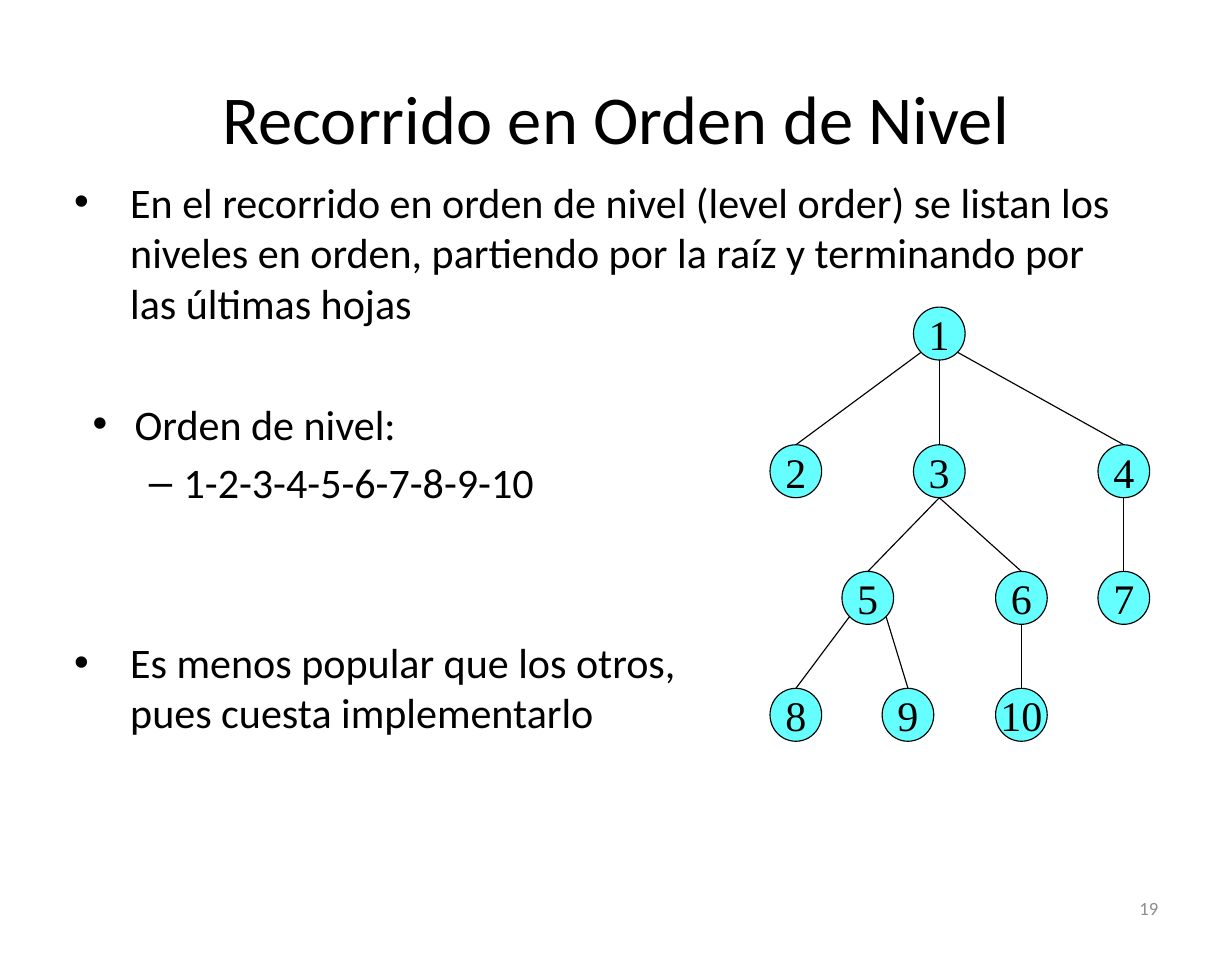
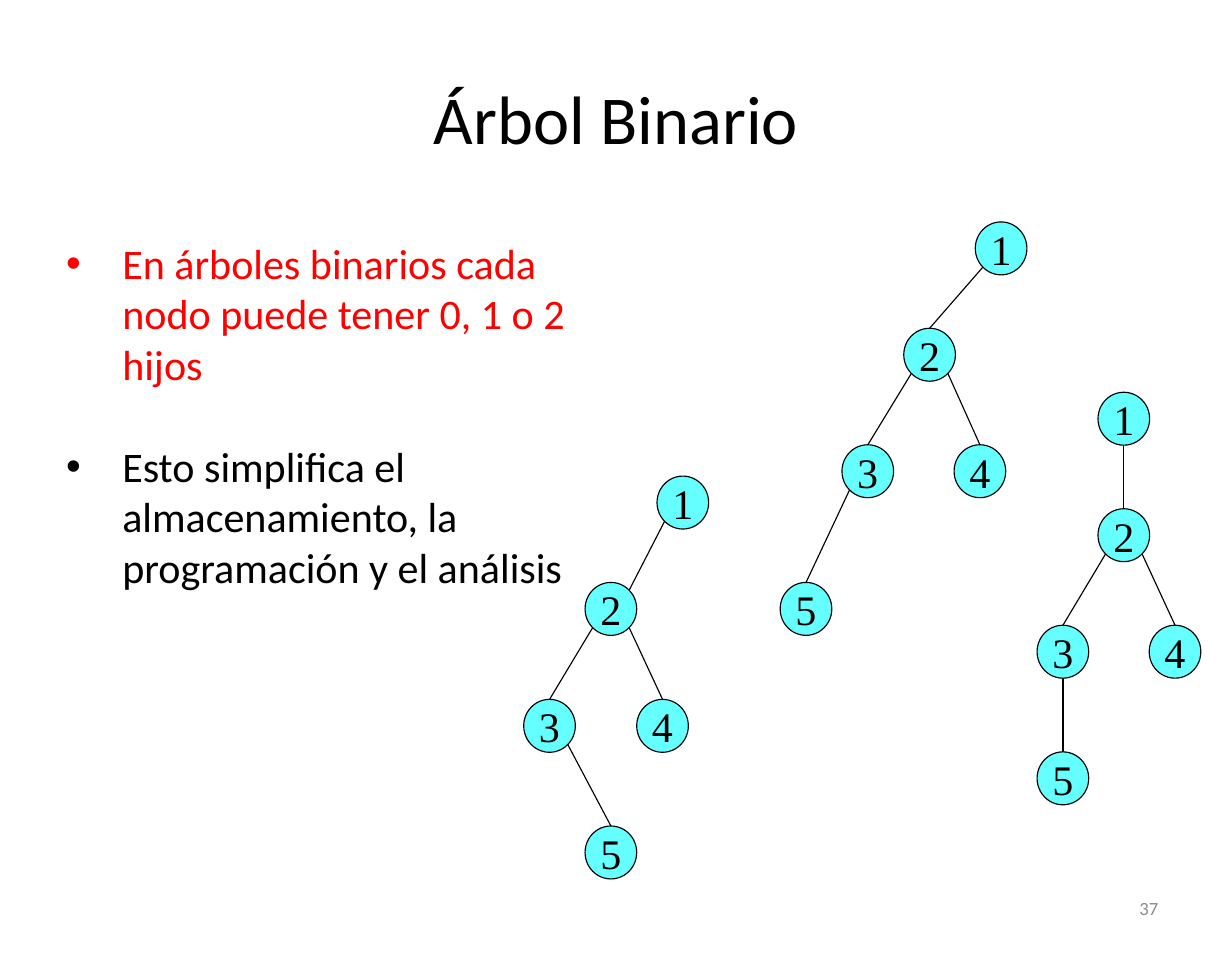
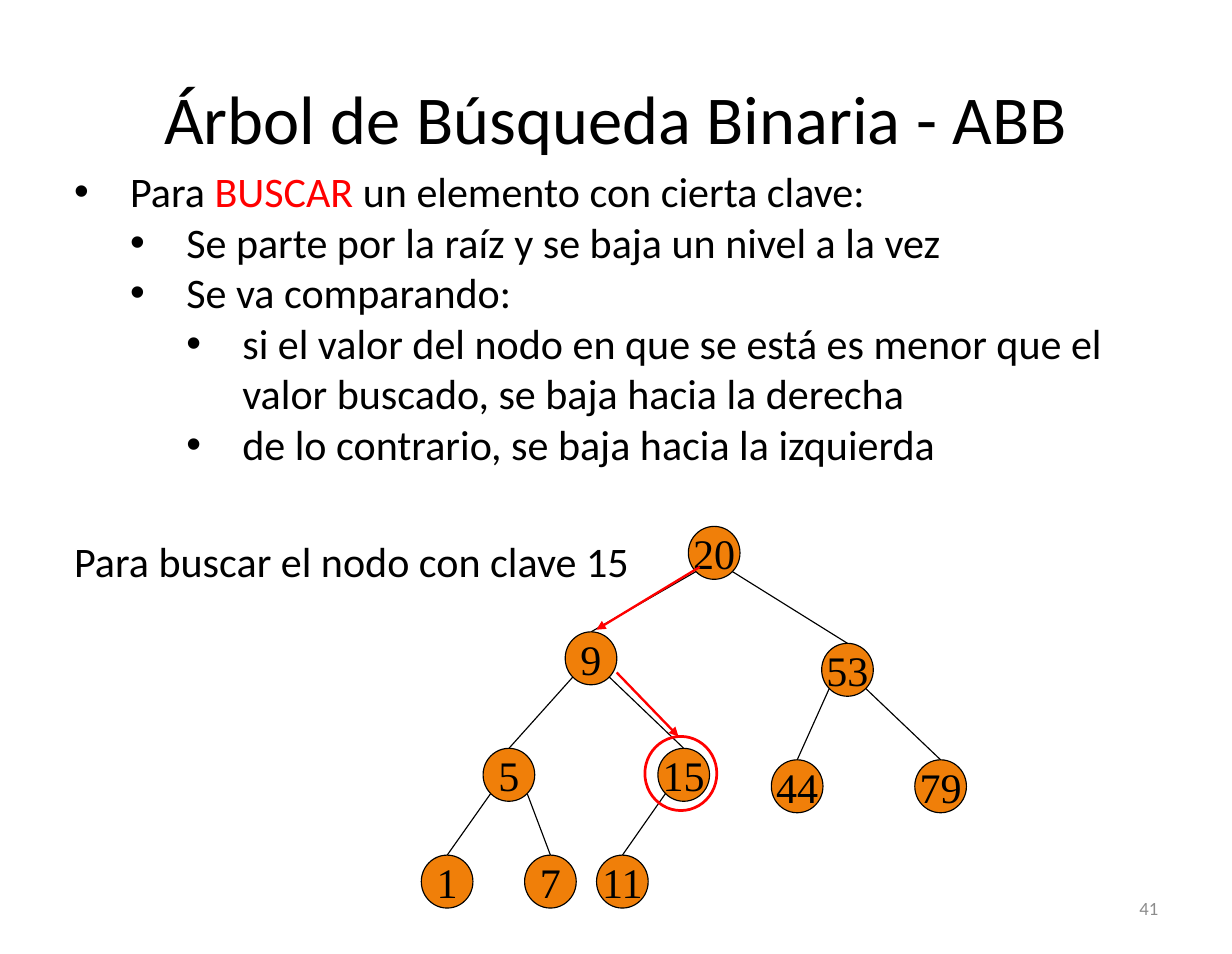
from lxml import etree
from pptx import Presentation
from pptx import util as u
from pptx.dml.color import RGBColor
from pptx.enum import shapes, text
from pptx.oxml.ns import qn

BLACK = RGBColor(0x00, 0x00, 0x00)
RED = RGBColor(0xFF, 0x00, 0x00)
CYAN = RGBColor(0x66, 0xFF, 0xFF)
ORANGE = RGBColor(0xF0, 0x7F, 0x09)
GREY = RGBColor(0x8C, 0x8C, 0x8C)

BODY_FONT, NODE_FONT = "Calibri", "Times New Roman"
TITLE_SIZE, TEXT_SIZE, NUMBER_SIZE = 44, 27, 12
PAGE_SIZE = (27.91, 21.62)
TITLE_AT = (1.4, 0.86, 25.12, 3.61)
NUMBER_AT = (19.99, 20.02, 6.5, 1.14)
WIDE_INSET, NORMAL_INSET = (0.28, 0.15), (0.25, 0.13)
NODE_WIDTH, NODE_HEIGHT = 1.17, 1.2

DIAGONAL = 0.3536
PORTS = {
    "top": (0, -0.5),
    "bottom": (0, 0.5),
    "lower left": (-DIAGONAL, DIAGONAL),
    "lower right": (DIAGONAL, DIAGONAL),
    "upper right": (DIAGONAL, -DIAGONAL),
}

LIST_STYLES = {
    "plain": (0, 0, 0, None),
    "point": (0, 1.27, -1.27, "•"),
    "sub": (1, 2.54, -1.27, "•"),
    "subsub": (2, 3.81, -1.27, "•"),
    "heading": (0, 0.95, -0.95, "•"),
    "dash": (1, 2.06, -0.79, "–"),
}

BINARY_EDGES = [("1", "2"), ("2", "3"), ("2", "4"), ("3", "5")]

SLIDES = [
    {
        "title": "Recorrido en Orden de Nivel",
        "number": "19",
        "blocks": [
            {"at": (1.85, 8.89, 11.63, 4.8), "inset": NORMAL_INSET, "paras": [
                ("heading", 0, [("Orden de nivel:", BLACK)]),
                ("dash", 5.4, [("1-2-3-4-5-6-7-8-9-10", BLACK)]),
            ]},
            {"at": (1.4, 3.84, 24.18, 3.73), "paras": [
                ("point", 0, [("En el recorrido en orden de nivel (level order) se listan los "
                               "niveles en orden, partiendo por la raíz y terminando por las "
                               "últimas hojas", BLACK)]),
            ]},
            {"at": (1.4, 14.27, 14.66, 2.59), "paras": [
                ("point", 0, [("Es menos popular que los otros, pues cuesta implementarlo", BLACK)]),
            ]},
        ],
        "fill": CYAN,
        "trees": [{
            "nodes": {
                "1": (21.28, 7.56),
                "2": (18.03, 10.68), "3": (21.28, 10.68), "4": (25.46, 10.68),
                "5": (19.66, 13.55), "6": (23.14, 13.55), "7": (25.46, 13.55),
                "8": (18.03, 16.2), "9": (20.57, 16.2), "10": (23.14, 16.2),
            },
            "edges": [("1", "2"), ("1", "3"), ("1", "4"), ("3", "5"), ("3", "6"),
                      ("4", "7"), ("5", "8"), ("5", "9"), ("6", "10")],
            "exits": {("3", "5"): "bottom", ("3", "6"): "bottom"},
        }],
    },
    {
        "title": "Árbol Binario",
        "number": "37",
        "blocks": [
            {"at": (1.22, 5.23, 13.41, 7.21), "paras": [
                ("point", 0, [("En árboles binarios cada nodo puede tener 0, 1 o 2 hijos", RED)]),
                ("point", 33, [("Esto simplifica el almacenamiento, la programación y el análisis",
                                BLACK)]),
            ]},
        ],
        "fill": CYAN,
        "trees": [
            {"nodes": {"1": (15.47, 11.39), "2": (13.84, 13.8), "3": (12.45, 16.45),
                       "4": (15.01, 16.45), "5": (13.84, 19.32)},
             "edges": BINARY_EDGES,
             "entries": {("1", "2"): "upper right"}},
            {"nodes": {"1": (22.68, 5.63), "2": (21.06, 8.04), "3": (19.66, 10.68),
                       "4": (22.2, 10.68), "5": (18.26, 13.8)},
             "edges": BINARY_EDGES},
            {"nodes": {"1": (25.46, 9.49), "2": (25.46, 12.13), "3": (24.08, 14.77),
                       "4": (26.62, 14.77), "5": (24.08, 17.64)},
             "edges": BINARY_EDGES},
        ],
    },
    {
        "title": "Árbol de Búsqueda Binaria - ABB",
        "number": "41",
        "blocks": [
            {"at": (1.4, 3.61, 25.58, 7.21), "paras": [
                ("point", 0, [("Para ", BLACK), ("BUSCAR", RED),
                              (" un elemento con cierta clave:", BLACK)]),
                ("sub", 0, [("Se parte por la raíz y se baja un nivel a la vez", BLACK)]),
                ("sub", 0, [("Se va comparando:", BLACK)]),
                ("subsub", 0, [("si el valor del nodo en que se está es menor que el valor "
                                "buscado, se baja hacia la derecha", BLACK)]),
                ("subsub", 0, [("de lo contrario, se baja hacia la izquierda", BLACK)]),
            ]},
            {"at": (1.4, 11.99, 13.18, 1.45), "paras": [
                ("plain", 0, [("Para buscar el nodo con clave 15", BLACK)]),
            ]},
        ],
        "fill": ORANGE,
        "trees": [{
            "nodes": {
                "20": (16.18, 12.53), "9": (13.39, 14.92), "53": (19.2, 15.18),
                "5": (11.53, 17.56), "15": (15.49, 17.56),
                "44": (18.06, 17.82), "79": (21.31, 17.82),
                "1": (10.13, 19.98), "7": (12.47, 19.98), "11": (14.1, 19.98),
            },
            "edges": [("20", "9"), ("20", "53"), ("9", "5"), ("9", "15"), ("53", "44"),
                      ("53", "79"), ("5", "1"), ("5", "7"), ("15", "11")],
        }],
        "search_arrows": [((15.85, 12.85), (13.51, 14.27)), ((13.97, 15.24), (15.37, 16.69))],
        "found_ring": (14.61, 16.69, 1.63, 1.68),
    },
]


def lengths(values):
    return [u.Cm(value) for value in values]


def place(shape, at):
    shape.left, shape.top, shape.width, shape.height = lengths(at)


def style_span(span, size, color, font=BODY_FONT):
    span.font.name = font
    span.font.size = u.Pt(size)
    span.font.color.rgb = color


def set_inset(frame, inset):
    frame.margin_left = frame.margin_right = u.Cm(inset[0])
    frame.margin_top = frame.margin_bottom = u.Cm(inset[1])


def set_line(frame, content, size, color, align, font=BODY_FONT):
    frame.text = content
    frame.vertical_anchor = text.MSO_ANCHOR.MIDDLE
    para = frame.paragraphs[0]
    para.alignment = align
    style_span(para.runs[0], size, color, font)


def style_list_para(para, style):
    level, margin, indent, bullet = LIST_STYLES[style]
    para.level = level
    props = para._p.get_or_add_pPr()
    props.set("marL", str(u.Cm(margin)))
    props.set("indent", str(u.Cm(indent)))
    if bullet:
        etree.SubElement(props, qn("a:buFont")).set("typeface", "Arial")
        etree.SubElement(props, qn("a:buChar")).set("char", bullet)
    else:
        etree.SubElement(props, qn("a:buNone"))


def fill_block(box, block):
    place(box, block["at"])
    frame = box.text_frame
    frame.word_wrap = True
    frame.auto_size = text.MSO_AUTO_SIZE.NONE
    frame.vertical_anchor = text.MSO_ANCHOR.TOP
    set_inset(frame, block.get("inset", WIDE_INSET))
    for index, (style, gap, spans) in enumerate(block["paras"]):
        para = frame.add_paragraph() if index else frame.paragraphs[0]
        style_list_para(para, style)
        para.space_before = u.Pt(gap)
        for content, color in spans:
            span = para.add_run()
            span.text = content
            style_span(span, TEXT_SIZE, color)


def add_line(parent, start, end, color=BLACK, width=0.75, arrow=False):
    line = parent.shapes.add_connector(
        shapes.MSO_CONNECTOR.STRAIGHT, *lengths(start + end))
    line.line.color.rgb = color
    line.line.width = u.Pt(width)
    props = line._element.spPr
    if arrow:
        etree.SubElement(props.find(qn("a:ln")), qn("a:tailEnd")).set("type", "triangle")
    etree.SubElement(props, qn("a:effectLst"))


def add_oval(parent, at, color, width, fill=None):
    oval = parent.shapes.add_shape(shapes.MSO_SHAPE.OVAL, *lengths(at))
    oval.shadow.inherit = False
    oval.line.color.rgb = color
    oval.line.width = u.Pt(width)
    if fill is None:
        oval.fill.background()
    else:
        oval.fill.solid()
        oval.fill.fore_color.rgb = fill
    return oval


def port_point(center, port):
    across, down = PORTS[port]
    return center[0] + across * NODE_WIDTH, center[1] + down * NODE_HEIGHT


def usual_exit(parent, child):
    if parent[0] == child[0]:
        return "bottom"
    return "lower left" if child[0] < parent[0] else "lower right"


def add_tree(page, tree, fill):
    group = page.shapes.add_group_shape()
    nodes = tree["nodes"]
    for edge in tree["edges"]:
        parent, child = (nodes[name] for name in edge)
        leave = tree.get("exits", {}).get(edge, usual_exit(parent, child))
        enter = tree.get("entries", {}).get(edge, "top")
        add_line(group, port_point(parent, leave), port_point(child, enter))
    for name, (x, y) in nodes.items():
        at = (x - NODE_WIDTH / 2, y - NODE_HEIGHT / 2, NODE_WIDTH, NODE_HEIGHT)
        node = add_oval(group, at, BLACK, 0.75, fill)
        frame = node.text_frame
        frame.word_wrap = False
        set_inset(frame, NORMAL_INSET)
        set_line(frame, name, TEXT_SIZE, BLACK, text.PP_ALIGN.CENTER, NODE_FONT)


def add_page(deck, content):
    page = deck.slides.add_slide(deck.slide_layouts[1])
    set_line(page.shapes.title.text_frame, content["title"], TITLE_SIZE, BLACK,
             text.PP_ALIGN.CENTER)
    for index, block in enumerate(content["blocks"]):
        box = page.shapes.add_textbox(*lengths(block["at"])) if index else page.placeholders[1]
        fill_block(box, block)
    for tree in content["trees"]:
        add_tree(page, tree, content["fill"])
    for start, end in content.get("search_arrows", []):
        add_line(page, start, end, RED, 1.5, arrow=True)
    if "found_ring" in content:
        add_oval(page, content["found_ring"], RED, 1.75)
    number = page.shapes.add_textbox(*lengths(NUMBER_AT))
    number.text_frame.word_wrap = True
    set_line(number.text_frame, content["number"], NUMBER_SIZE, GREY, text.PP_ALIGN.RIGHT)


def main():
    deck = Presentation()
    deck.slide_width, deck.slide_height = lengths(PAGE_SIZE)
    place(deck.slide_master.placeholders[0], TITLE_AT)
    for content in SLIDES:
        add_page(deck, content)
    deck.save("out.pptx")


if __name__ == "__main__":
    main()
